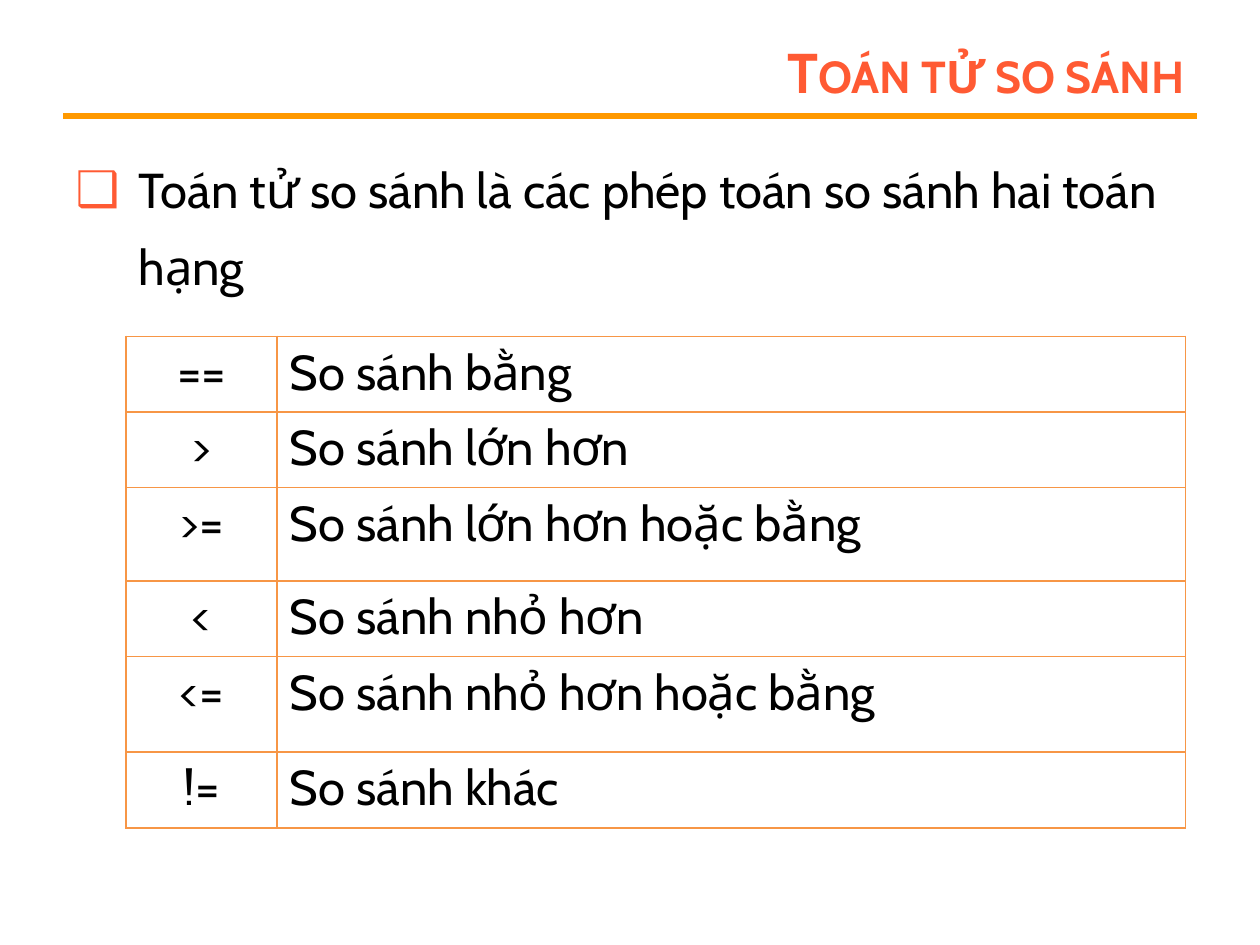
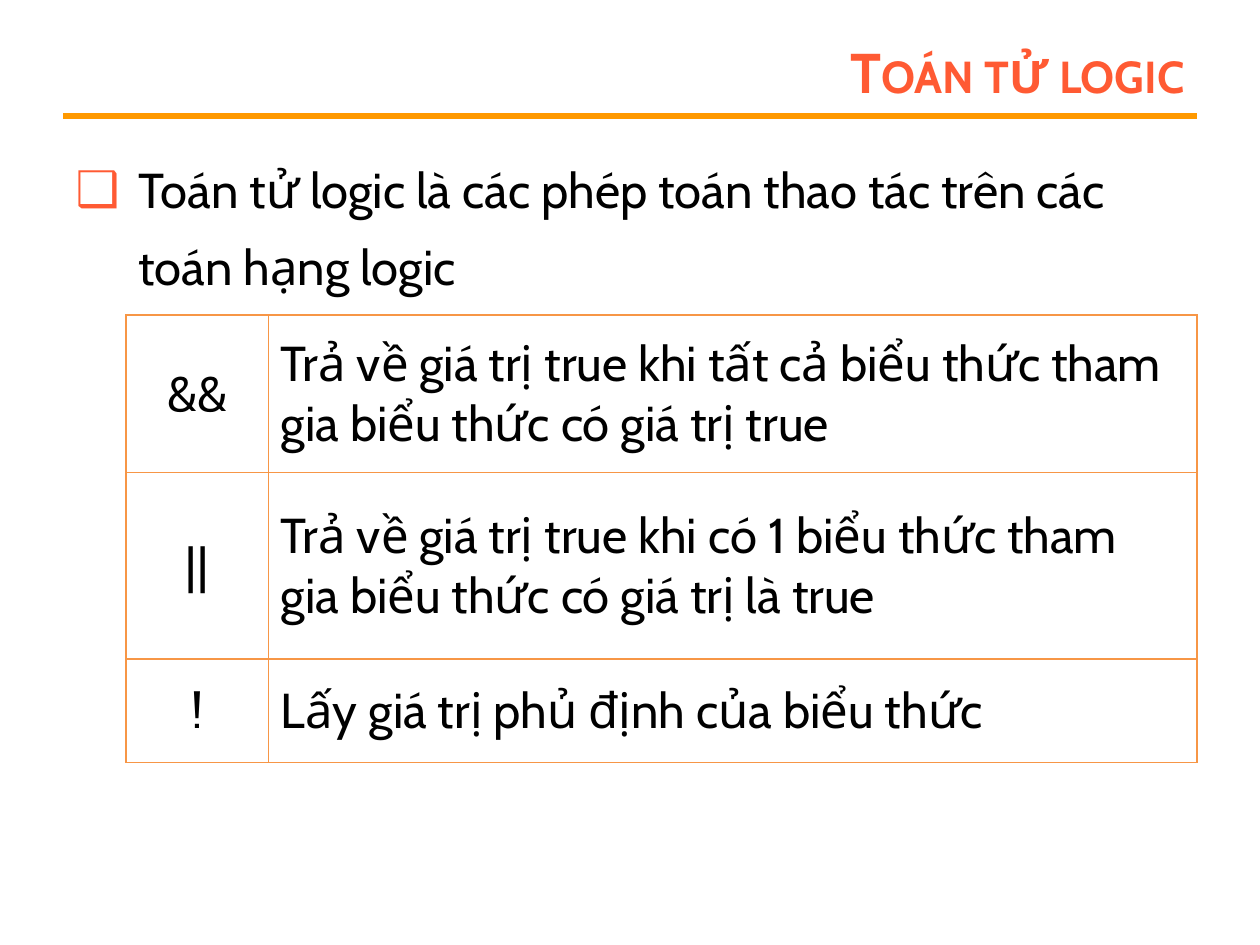
import dataclasses

import lxml.etree
import pptx
import pptx.dml.color
import pptx.enum.shapes
import pptx.enum.text
import pptx.oxml.ns
import pptx.util

Inches = pptx.util.Inches
Pt = pptx.util.Pt
Align = pptx.enum.text.PP_ALIGN
Anchor = pptx.enum.text.MSO_ANCHOR


@dataclasses.dataclass(frozen=True)
class Theme:
    font: str = "Cabin"
    accent: str = "FF5A33"
    rule: str = "FF9900"
    border: str = "F79646"
    text: str = "000000"
    title_size: int = 32
    body_size: int = 28
    rule_width: int = 3
    border_width: int = 1


THEME = Theme()

COMPARISON_ROWS = [
    ("==", "So sánh bằng"),
    (">", "So sánh lớn hơn"),
    (">=", "So sánh lớn hơn hoặc bằng"),
    ("<", "So sánh nhỏ hơn"),
    ("<=", "So sánh nhỏ hơn hoặc bằng"),
    ("!=", "So sánh khác"),
]
LOGIC_ROWS = [
    ("&&", "Trả về giá trị true khi tất cả biểu thức tham gia biểu thức có giá trị true"),
    ("||", "Trả về giá trị true khi có 1 biểu thức tham gia biểu thức có giá trị là true"),
    ("!", "Lấy giá trị phủ định của biểu thức"),
]


def rgb(color):
    return pptx.dml.color.RGBColor.from_string(color)


def add_element(parent, tag, **attributes):
    element = lxml.etree.SubElement(parent, pptx.oxml.ns.qn(tag))
    for name, value in attributes.items():
        element.set(name, value)
    return element


def set_font(paragraph, size, color, bold=False):
    font = paragraph.font
    font.name = THEME.font
    font.size = Pt(size)
    font.bold = bold
    font.color.rgb = rgb(color)


def place(shape, left, top, width, height):
    shape.left, shape.top = Inches(left), Inches(top)
    shape.width, shape.height = Inches(width), Inches(height)


def fill_placeholder(shape, text, anchor):
    frame = shape.text_frame
    frame.text = text
    frame.word_wrap = True
    frame.auto_size = pptx.enum.text.MSO_AUTO_SIZE.NONE
    frame.vertical_anchor = anchor
    return frame.paragraphs[0]


def add_title(slide, text):
    title = slide.shapes.title
    place(title, 2.25, 0.3, 7.25, 0.53)
    paragraph = fill_placeholder(title, text, Anchor.MIDDLE)
    paragraph.alignment = Align.RIGHT
    set_font(paragraph, THEME.title_size, THEME.accent, bold=True)
    paragraph.runs[0].font.bold = True
    paragraph.runs[0]._r.get_or_add_rPr().set("cap", "small")


def add_title_rule(slide):
    rule = slide.shapes.add_connector(
        pptx.enum.shapes.MSO_CONNECTOR.STRAIGHT,
        Inches(0.5), Inches(0.92), Inches(9.5), Inches(0.92),
    )
    rule.line.color.rgb = rgb(THEME.rule)
    rule.line.width = Pt(THEME.rule_width)
    add_element(rule._element.spPr, "a:effectLst")


def add_definition(slide, text):
    body = slide.placeholders[1]
    place(body, 0.5, 1.08, 9, 1.17)
    paragraph = fill_placeholder(body, text, Anchor.TOP)
    paragraph.line_spacing = 1.3
    paragraph.space_before = Pt(0.2 * THEME.body_size)
    properties = paragraph._p.get_or_add_pPr()
    properties.set("marL", str(Inches(0.5)))
    properties.set("indent", str(Inches(-0.5)))
    bullet_color = add_element(properties, "a:buClr")
    add_element(bullet_color, "a:srgbClr", val=THEME.accent)
    add_element(properties, "a:buChar", char="❑")
    set_font(paragraph, THEME.body_size, THEME.text)


def set_borders(cell):
    """Outline a cell; border elements must come before its fill."""
    properties = cell._tc.get_or_add_tcPr()
    for index, side in enumerate(("a:lnL", "a:lnR", "a:lnT", "a:lnB")):
        line = add_element(properties, side, w=str(Pt(THEME.border_width)))
        fill = add_element(line, "a:solidFill")
        add_element(fill, "a:srgbClr", val=THEME.border)
        properties.insert(index, line)


def fill_cell(cell, text, alignment, anchor):
    cell.text = text
    cell.vertical_anchor = anchor
    cell.fill.background()
    set_borders(cell)
    paragraph = cell.text_frame.paragraphs[0]
    paragraph.alignment = alignment
    set_font(paragraph, THEME.body_size, THEME.text)


def add_operator_table(slide, rows, top, column_widths, row_heights, anchor):
    table = slide.shapes.add_table(
        len(rows), len(column_widths), Inches(1), Inches(top),
        Inches(sum(column_widths)), Inches(sum(row_heights)),
    ).table
    table.first_row = False
    table.horz_banding = False
    for column, width in zip(table.columns, column_widths):
        column.width = Inches(width)
    for row, height, (operator, meaning) in zip(table.rows, row_heights, rows):
        row.height = Inches(height)
        fill_cell(row.cells[0], operator, Align.CENTER, anchor)
        fill_cell(row.cells[1], meaning, Align.LEFT, anchor)


def add_operator_slide(presentation, title, definition):
    slide = presentation.slides.add_slide(presentation.slide_layouts[1])
    add_title_rule(slide)
    add_title(slide, title)
    add_definition(slide, definition)
    return slide


def main():
    presentation = pptx.Presentation()
    presentation.slide_width = Inches(10)
    presentation.slide_height = Inches(7.5)

    comparison = add_operator_slide(
        presentation,
        "Toán tử so sánh",
        "Toán tử so sánh là các phép toán so sánh hai toán hạng",
    )
    add_operator_table(
        comparison, COMPARISON_ROWS, 2.67, (1.2, 7.21),
        (0.6, 0.6, 0.74, 0.6, 0.76, 0.6), Anchor.TOP,
    )

    logic = add_operator_slide(
        presentation,
        "Toán tử logic",
        "Toán tử logic là các phép toán thao tác trên các toán hạng logic",
    )
    add_operator_table(
        logic, LOGIC_ROWS, 2.5, (1.13, 7.37), (1.25, 1.48, 0.82), Anchor.MIDDLE,
    )

    presentation.save("out.pptx")


if __name__ == "__main__":
    main()
